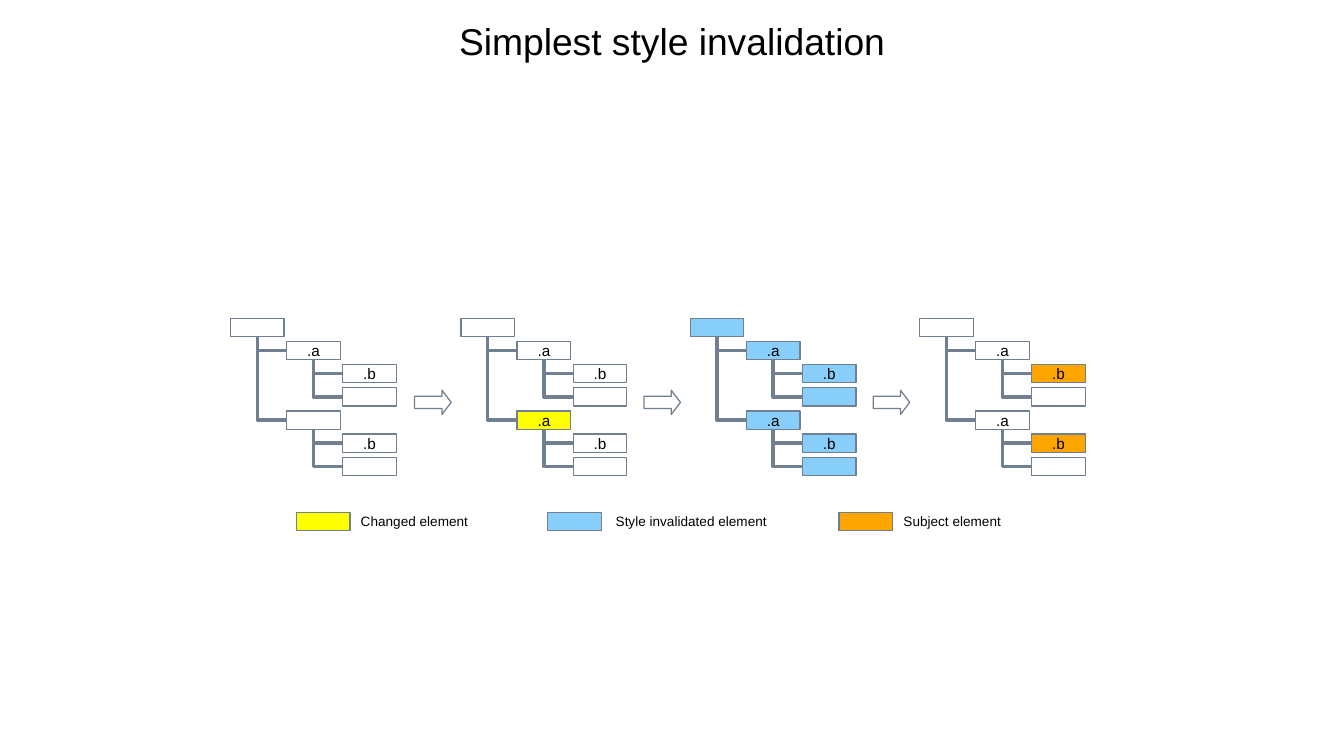
"""Builds a slide on how style invalidation spreads through an element tree."""
import pptx
import pptx.dml.color
import pptx.enum.shapes
import pptx.enum.text
import pptx.oxml.ns
import pptx.util

Inches = pptx.util.Inches
SHAPES = pptx.enum.shapes.MSO_SHAPE
ALIGN = pptx.enum.text.PP_ALIGN
qn = pptx.oxml.ns.qn

WHITE, CHANGED, INVALIDATED, SUBJECT = "FFFFFF", "FFFF00", "87CEFA", "FFA500"
BOX_WIDTH, BOX_HEIGHT = 0.44, 0.15
INDENT, ROW_STEP = 0.46, 0.19
TREE_TOP = 2.61
LEVELS = [0, 1, 2, 2, 1, 2, 2]
BRANCHES = [(0, 4), (4, 5), (1, 2), (0, 1), (1, 3), (4, 6)]


def rgb(value):
    """Return the colour for a hex string."""
    return pptx.dml.color.RGBColor.from_string(value)


class Diagram:
    """Holds the slide and its shared style."""

    font, ink, outline = "Arial", "000000", "708090"

    def __init__(self, slide):
        """Keep the slide to draw on."""
        self.slide = slide

    def add_text(self, frame, text, size, align):
        """Put one run of text into a frame."""
        paragraph = frame.paragraphs[0]
        paragraph.alignment = align
        run = paragraph.add_run()
        run.text = text
        run.font.name, run.font.size = self.font, pptx.util.Pt(size)
        run.font.color.rgb = rgb(self.ink)

    def label(self, text, left, top, width, height, size, align=ALIGN.LEFT):
        """Add a text box."""
        box = self.slide.shapes.add_textbox(
            Inches(left), Inches(top), Inches(width), Inches(height))
        box.text_frame.word_wrap = True
        self.add_text(box.text_frame, text, size, align)

    def shape(self, preset, left, top, width, height, fill=None):
        """Add an outlined shape, hollow unless a fill is given."""
        shape = self.slide.shapes.add_shape(
            preset, Inches(left), Inches(top), Inches(width), Inches(height))
        shape.shadow.inherit = False
        if fill:
            shape.fill.solid()
            shape.fill.fore_color.rgb = rgb(fill)
        else:
            shape.fill.background()
        shape.line.color.rgb = rgb(self.outline)
        shape.line.width = pptx.util.Pt(0)
        return shape

    def element(self, left, top, fill=None, text=""):
        """Add an element box with an optional class name."""
        box = self.shape(SHAPES.RECTANGLE, left, top, BOX_WIDTH, BOX_HEIGHT, fill)
        if text:
            frame = box.text_frame
            frame.word_wrap = False
            frame.vertical_anchor = pptx.enum.text.MSO_ANCHOR.MIDDLE
            self.add_text(frame, text, 9, ALIGN.CENTER)
        return box

    def arrow(self, left, top):
        """Add a block arrow between two trees."""
        arrow = self.shape(SHAPES.RIGHT_ARROW, left, top, 0.3, 0.2, WHITE)
        arrow.adjustments[0], arrow.adjustments[1] = 0.5, 0.38

    def branch(self, parent, child):
        """Join the bottom of a parent to the left side of a child."""
        elbow = self.slide.shapes.add_connector(
            pptx.enum.shapes.MSO_CONNECTOR.ELBOW, 0, 0, 0, 0)
        elbow.begin_connect(parent, 2)
        elbow.end_connect(child, 1)
        start_x, start_y = parent.left + parent.width // 2, parent.top + parent.height
        run = child.left - start_x
        drop = child.top + child.height // 2 - start_y
        elbow.left, elbow.top = start_x + (run - drop) // 2, start_y + (drop - run) // 2
        elbow.width, elbow.height = drop, run
        properties = elbow._element.spPr
        frame = properties.find(qn("a:xfrm"))
        for flip in ("flipH", "flipV"):
            frame.attrib.pop(flip, None)
        frame.set("rot", "16200000")
        frame.set("flipH", "1")
        properties.find(qn("a:prstGeom")).set("prst", "bentConnector2")
        elbow.line.color.rgb = rgb(self.outline)
        elbow.line.width = pptx.util.Pt(0)
        properties.append(properties.makeelement(qn("a:effectLst")))

    def tree(self, left, names, fills):
        """Add a tree of elements and its branches."""
        elements = [
            self.element(left + level * INDENT, TREE_TOP + row * ROW_STEP,
                         fills.get(row), names[row])
            for row, level in enumerate(LEVELS)]
        for parent, child in BRANCHES:
            self.branch(elements[parent], elements[child])


def main():
    """Build and save the slide."""
    deck = pptx.Presentation()
    deck.slide_width, deck.slide_height = Inches(11.02), Inches(6.2)
    diagram = Diagram(deck.slides.add_slide(deck.slide_layouts[6]))

    before = ["", ".a", ".b", "", "", ".b", ""]
    after = ["", ".a", ".b", "", ".a", ".b", ""]
    stages = [
        (1.89, before, {4: WHITE}),
        (3.78, after, {4: CHANGED}),
        (5.66, after, dict.fromkeys(range(7), INVALIDATED)),
        (7.54, after, {2: SUBJECT, 4: WHITE, 5: SUBJECT}),
    ]
    for stage, (left, names, fills) in enumerate(stages):
        diagram.tree(left, names, fills)
        if stage:
            diagram.arrow(left - 0.38, 3.2)

    legend = [
        (2.43, CHANGED, 2.86, 1.1, "Changed element"),
        (4.49, INVALIDATED, 4.95, 1.51, "Style invalidated element"),
        (6.88, SUBJECT, 7.31, 1.33, "Subject element"),
    ]
    for key_left, fill, text_left, width, meaning in legend:
        diagram.element(key_left, 4.2, fill)
        diagram.label(meaning, text_left, 4.16, width, 0.22, 8)

    diagram.label("Simplest style invalidation", 0, 0.1, 11.02, 1.09, 22, ALIGN.CENTER)
    deck.save("out.pptx")


if __name__ == "__main__":
    main()
